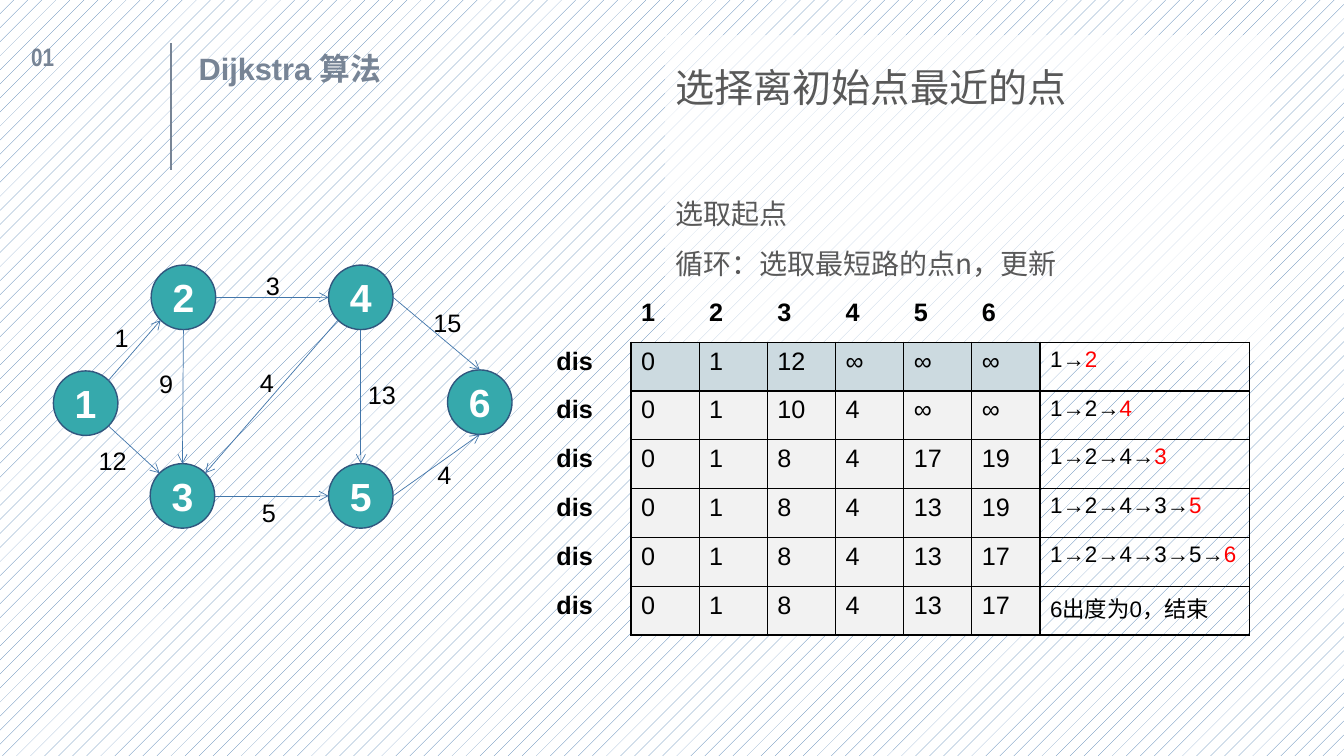
"""Build the slide that walks through Dijkstra's shortest paths."""
from dataclasses import dataclass
from math import cos, radians, sin

from lxml.etree import SubElement
from pptx import Presentation
from pptx.dml.color import RGBColor
from pptx.enum.dml import MSO_PATTERN
from pptx.enum.shapes import MSO_CONNECTOR, MSO_SHAPE
from pptx.enum.text import MSO_ANCHOR, PP_ALIGN
from pptx.oxml.ns import qn
from pptx.util import Emu, Pt

PX = 9144
PLAIN = "{2D5ABB26-0587-4C30-8999-92F81FD0307C}"


@dataclass(frozen=True)
class Theme:
    sans: str = "Arial"
    narrow: str = "Arial Narrow"
    cjk: str = "Noto Sans CJK SC"
    white: str = "FFFFFF"
    black: str = "000000"
    red: str = "FF0000"
    slate: str = "778495"
    grey: str = "595959"
    blue: str = "4276AA"
    navy: str = "31577E"
    teal: str = "36A9AC"
    first: str = "CCDAE0"
    later: str = "F2F2F2"
    head: int = 28
    title: int = 22
    list: int = 20
    text: int = 18
    route: int = 16


@dataclass(frozen=True)
class Node:
    name: str
    x: int
    y: int


@dataclass(frozen=True)
class Edge:
    start: str
    out: int
    end: str
    into: int
    cost: str
    x: int
    y: int


@dataclass(frozen=True)
class Step:
    dist: str
    route: str
    pick: str = ""


THEME = Theme()
SIZE = 64
NODES = [Node("1", 53, 368), Node("2", 150, 263), Node("3", 149, 460),
         Node("4", 326, 263), Node("5", 326, 460), Node("6", 444, 367)]
EDGES = [Edge("1", 45, "3", 225, "12", 88, 437),
         Edge("1", 315, "2", 135, "1", 104, 315),
         Edge("2", 0, "4", 180, "3", 254, 263),
         Edge("4", 135, "3", 315, "4", 248, 359),
         Edge("2", 90, "3", 270, "9", 148, 360),
         Edge("3", 0, "5", 180, "5", 250, 488),
         Edge("4", 90, "5", 270, "13", 355, 371),
         Edge("4", 0, "6", 270, "15", 420, 300),
         Edge("5", 0, "6", 90, "4", 424, 451)]
STEPS = [Step("0 1 12 ∞ ∞ ∞", "1→", "2"),
         Step("0 1 10 4 ∞ ∞", "1→2→", "4"),
         Step("0 1 8 4 17 19", "1→2→4→", "3"),
         Step("0 1 8 4 13 19", "1→2→4→3→", "5"),
         Step("0 1 8 4 13 17", "1→2→4→3→5→", "6"),
         Step("0 1 8 4 13 17", "6出度为0，结束")]


def px(*values: float) -> list[Emu]:
    return [Emu(round(value * PX)) for value in values]


def rgb(tone: str) -> RGBColor:
    return RGBColor.from_string(tone)


def style(para, size: int, tone: str, bold: bool = False, face: str = THEME.sans) -> None:
    font = para.font
    font.size, font.bold, font.name = Pt(size), bold, face
    font.color.rgb = rgb(tone)
    base = para._p.find(qn("a:pPr")).find(qn("a:defRPr"))
    SubElement(base, qn("a:ea"), typeface=THEME.cjk)


def draw_panel(shapes) -> None:
    panel = shapes.add_shape(MSO_SHAPE.RECTANGLE, *px(660, 35, 600, 323))
    panel.shadow.inherit = False
    panel.line.fill.background()
    panel.fill.solid()
    panel.fill.fore_color.rgb = rgb(THEME.white)
    shade = panel.fill._xPr.find(qn("a:solidFill"))[0]
    SubElement(shade, qn("a:alpha"), val="65000")
    frame = panel.text_frame
    frame.word_wrap = True
    frame.vertical_anchor = MSO_ANCHOR.TOP
    lines = [("选择离初始点最近的点", THEME.head, 0),
             ("选取起点", THEME.list, 49),
             ("循环：选取最短路的点n，更新", THEME.list, 0)]
    for index, (text, size, gap) in enumerate(lines):
        para = frame.add_paragraph() if index else frame.paragraphs[0]
        para.text = text
        para.alignment = PP_ALIGN.LEFT
        para.line_spacing = 1.5
        if gap:
            para.space_before = Pt(gap)
        style(para, size, THEME.grey, face=THEME.cjk)


def draw_title(shapes) -> None:
    title = shapes.title
    title.left, title.top, title.width, title.height = px(187, 20, 496, 72)
    title.text_frame.text = "Dijkstra 算法"
    title.text_frame.vertical_anchor = MSO_ANCHOR.BOTTOM
    para = title.text_frame.paragraphs[0]
    para.alignment = PP_ALIGN.LEFT
    para.line_spacing = 0.9
    style(para, THEME.title, THEME.slate, True)


def draw_label(shapes, text: str, box: tuple[int, int, int, int], tone: str,
               bold: bool = False, face: str = THEME.sans) -> None:
    frame = shapes.add_textbox(*px(*box)).text_frame
    frame.word_wrap = True
    frame.text = text
    style(frame.paragraphs[0], THEME.text, tone, bold, face)


def draw_line(shapes, start: tuple[float, float], end: tuple[float, float],
              tone: str, width: float, arrow: bool = False) -> None:
    line = shapes.add_connector(MSO_CONNECTOR.STRAIGHT, *px(*start, *end))
    line.line.color.rgb = rgb(tone)
    line.line.width = Pt(width)
    if arrow:
        SubElement(line.line._get_or_add_ln(), qn("a:tailEnd"), type="arrow")
    SubElement(line._element.spPr, qn("a:effectLst"))


def draw_node(shapes, node: Node) -> None:
    disc = shapes.add_shape(MSO_SHAPE.OVAL, *px(node.x, node.y, SIZE, SIZE))
    disc.shadow.inherit = False
    disc.fill.solid()
    disc.fill.fore_color.rgb = rgb(THEME.teal)
    disc.line.color.rgb = rgb(THEME.navy)
    disc.line.width = Pt(1)
    disc.text_frame.text = node.name
    disc.text_frame.vertical_anchor = MSO_ANCHOR.MIDDLE
    para = disc.text_frame.paragraphs[0]
    para.alignment = PP_ALIGN.CENTER
    style(para, THEME.head, THEME.white, True)


def rim(node: Node, angle: int) -> tuple[float, float]:
    half, turn = SIZE / 2, radians(angle)
    return node.x + half * (1 + cos(turn)), node.y + half * (1 + sin(turn))


def draw_graph(shapes) -> None:
    for node in NODES:
        draw_node(shapes, node)
    named = {node.name: node for node in NODES}
    for edge in EDGES:
        draw_line(shapes, rim(named[edge.start], edge.out),
                  rim(named[edge.end], edge.into), THEME.blue, 0.5, True)
    for edge in EDGES:
        box = edge.x, edge.y, 20 + 14 * len(edge.cost), 40
        draw_label(shapes, edge.cost, box, THEME.black)


def frame_cell(cell) -> None:
    props = cell._tc.get_or_add_tcPr()
    for index, side in enumerate(("lnL", "lnR", "lnT", "lnB")):
        edge = props.makeelement(qn(f"a:{side}"), {"w": str(Pt(1))})
        fill = SubElement(edge, qn("a:solidFill"))
        SubElement(fill, qn("a:srgbClr"), val=THEME.black)
        props.insert(index, edge)


def fill_cell(cell, text: str, size: int, bold: bool = False, pick: str = "") -> None:
    para = cell.text_frame.paragraphs[0]
    para.add_run().text = text
    style(para, size, THEME.black, bold)
    if pick:
        run = para.add_run()
        run.text = pick
        run.font.color.rgb = rgb(THEME.red)


def draw_table(shapes) -> None:
    rows = len(STEPS) + 1
    table = shapes.add_table(rows, 8, *px(542, 291, 698, 339)).table
    table.first_row = table.horz_banding = False
    table._tbl.tblPr.find(qn("a:tableStyleId")).text = PLAIN
    for column, width in zip(table.columns, px(84, *[67.67] * 6, 208)):
        column.width = width
    for row in table.rows:
        row.height = Emu(339 * PX // rows)
    for col, node in enumerate(NODES, 1):
        fill_cell(table.cell(0, col), node.name, THEME.text, True)
    for row, step in enumerate(STEPS, 1):
        fill_cell(table.cell(row, 0), "dis", THEME.text, True)
        for col, value in enumerate(step.dist.split(), 1):
            cell = table.cell(row, col)
            fill_cell(cell, value, THEME.text)
            cell.fill.solid()
            cell.fill.fore_color.rgb = rgb(THEME.first if row == 1 else THEME.later)
            frame_cell(cell)
        last = table.cell(row, 7)
        fill_cell(last, step.route, THEME.route, pick=step.pick)
        frame_cell(last)


def main() -> None:
    deck = Presentation()
    deck.slide_width, deck.slide_height = px(1333.33, 750)
    slide = deck.slides.add_slide(deck.slide_layouts[5])
    back = slide.background.fill
    back.patterned()
    back.pattern = MSO_PATTERN.PERCENT_5
    back.fore_color.rgb, back.back_color.rgb = rgb(THEME.blue), rgb(THEME.white)
    shapes = slide.shapes
    draw_panel(shapes)
    draw_title(shapes)
    draw_label(shapes, "01", (21, 36, 105, 139), THEME.slate, True, THEME.narrow)
    draw_line(shapes, (170, 43), (170, 169), THEME.slate, 1.25)
    draw_graph(shapes)
    draw_table(shapes)
    deck.save("out.pptx")


if __name__ == "__main__":
    main()
